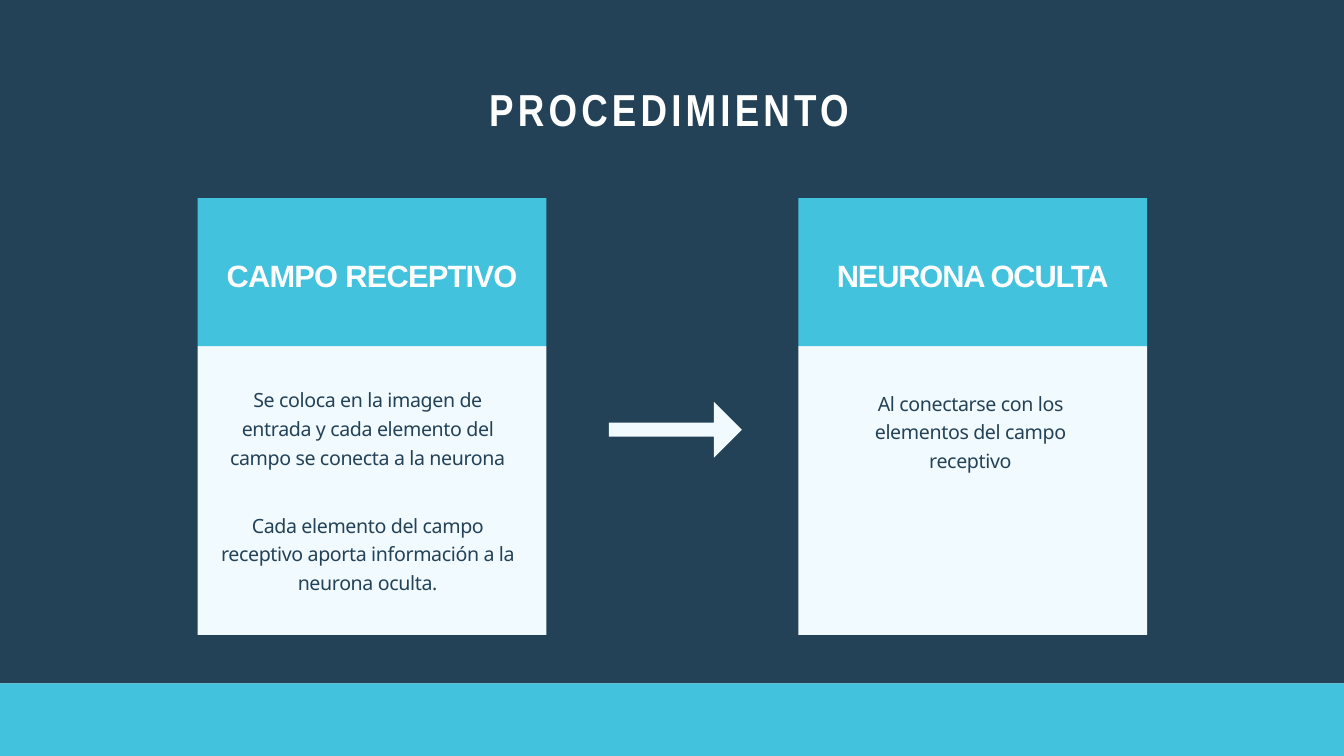
import dataclasses

import pptx
import pptx.dml.color
import pptx.enum.shapes
import pptx.enum.text
import pptx.util

Inches = pptx.util.Inches
Pt = pptx.util.Pt
Shape = pptx.enum.shapes.MSO_SHAPE
Align = pptx.enum.text.PP_ALIGN
Anchor = pptx.enum.text.MSO_ANCHOR


@dataclasses.dataclass(frozen=True)
class Theme:
    navy: str = "244257"
    cyan: str = "42C2DD"
    pale: str = "F1FAFF"
    white: str = "FFFFFF"
    title: int = 48
    head: int = 33
    body: int = 21


THEME = Theme()


def tint(code):
    return pptx.dml.color.RGBColor.from_string(code)


def block(slide, box, fill, kind=Shape.RECTANGLE):
    shape = slide.shapes.add_shape(kind, *map(Inches, box))
    shape.shadow.inherit = False
    shape.fill.solid()
    shape.fill.fore_color.rgb = tint(fill)
    shape.line.fill.background()
    return shape


def write(slide, box, text, *, size, color, font, bold=False, track=0,
          align=Align.CENTER, anchor=Anchor.TOP, line=1, gap=0):
    frame = slide.shapes.add_textbox(*map(Inches, box)).text_frame
    frame.word_wrap = True
    frame.vertical_anchor = anchor
    frame.margin_left = frame.margin_right = 0
    frame.margin_top = frame.margin_bottom = 0
    for index, part in enumerate(text.split("\n")):
        para = frame.paragraphs[0] if index == 0 else frame.add_paragraph()
        para.alignment = align
        para.line_spacing = line
        if index:
            para.space_before = Pt(gap)
        run = para.add_run()
        run.text = part
        run.font.name = font
        run.font.size = Pt(size)
        run.font.bold = bold
        run.font.color.rgb = tint(color)
        run._r.get_or_add_rPr().set("spc", str(round(track * 100)))


def title(slide, box, text):
    write(slide, box, text, size=THEME.title, color=THEME.white,
          font="Arial Narrow", bold=True, track=4.5, align=Align.LEFT)


def card(slide, box, head, body, track, inset):
    left, top, width, height = box
    split = 2.2
    side, drop, wide = inset
    block(slide, (left, top + split, width, height - split), THEME.pale)
    block(slide, (left, top, width, split), THEME.cyan)
    write(slide, (left, top + 0.04, width, split), head, size=THEME.head,
          color=THEME.white, font="Arial", bold=True, track=track,
          anchor=Anchor.MIDDLE)
    write(slide, (left + side, top + split + drop, wide, height - split - drop),
          body, size=THEME.body, color=THEME.navy, font="Noto Sans",
          track=-0.4, line=1.22, gap=42)


def arrow(slide, box):
    shape = block(slide, box, THEME.pale, Shape.RIGHT_ARROW)
    shape.adjustments[0] = 0.25
    shape.adjustments[1] = 0.5


def main():
    deck = pptx.Presentation()
    deck.slide_width = Inches(20)
    deck.slide_height = Inches(11.25)
    slide = deck.slides.add_slide(deck.slide_layouts[6])

    block(slide, (0, 0, 20, 10.17), THEME.navy)
    block(slide, (0, 10.17, 20, 1.08), THEME.cyan)
    title(slide, (7.28, 1.22, 5.6, 0.83), "PROCEDIMIENTO")

    cards = (
        (2.94, "CAMPO RECEPTIVO",
         "Se coloca en la imagen de entrada y cada elemento del campo se "
         "conecta a la neurona\n"
         "Cada elemento del campo receptivo aporta información a la "
         "neurona oculta.", -0.8, (0.28, 0.55, 4.5)),
        (11.88, "NEURONA OCULTA",
         "Al conectarse con los elementos del campo receptivo",
         -1.25, (0.96, 0.6, 3.2)),
    )
    for left, head, body, track, inset in cards:
        card(slide, (left, 2.95, 5.19, 6.5), head, body, track, inset)
    arrow(slide, (9.06, 5.98, 1.98, 0.83))

    deck.save("out.pptx")


if __name__ == "__main__":
    main()
